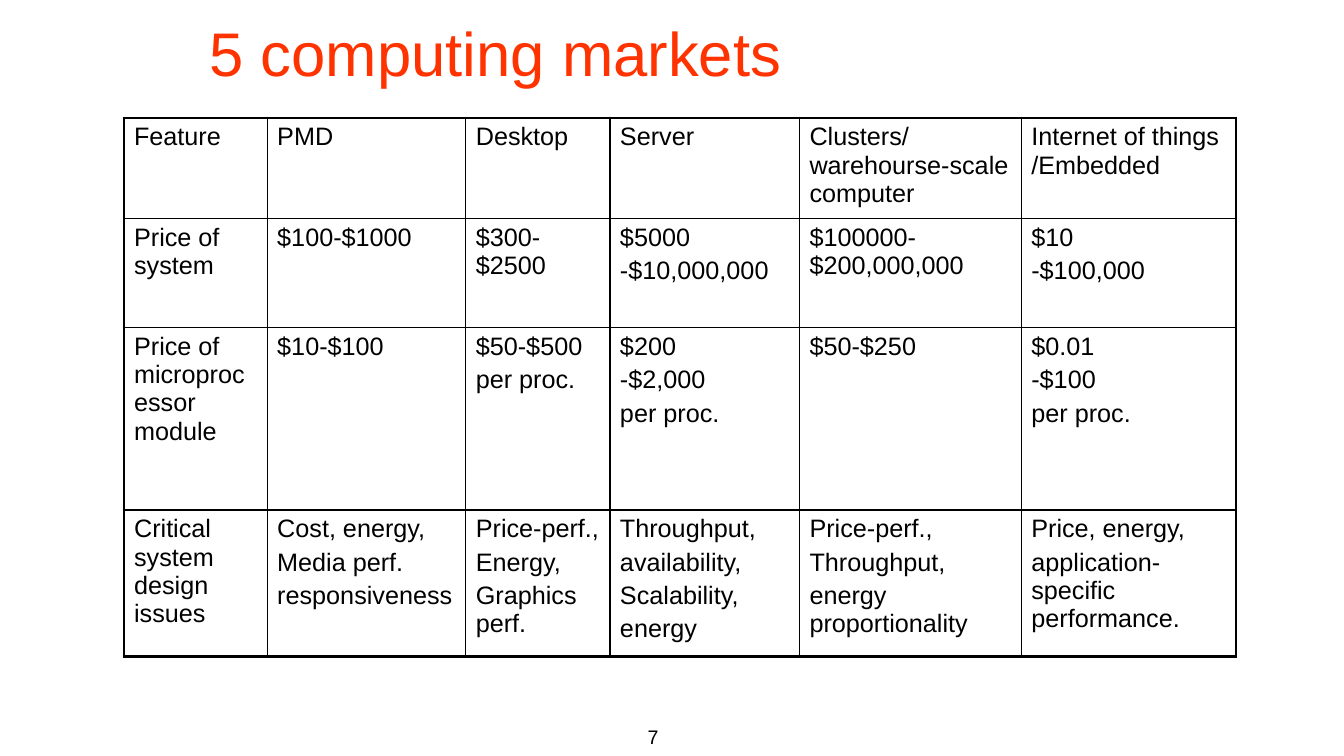
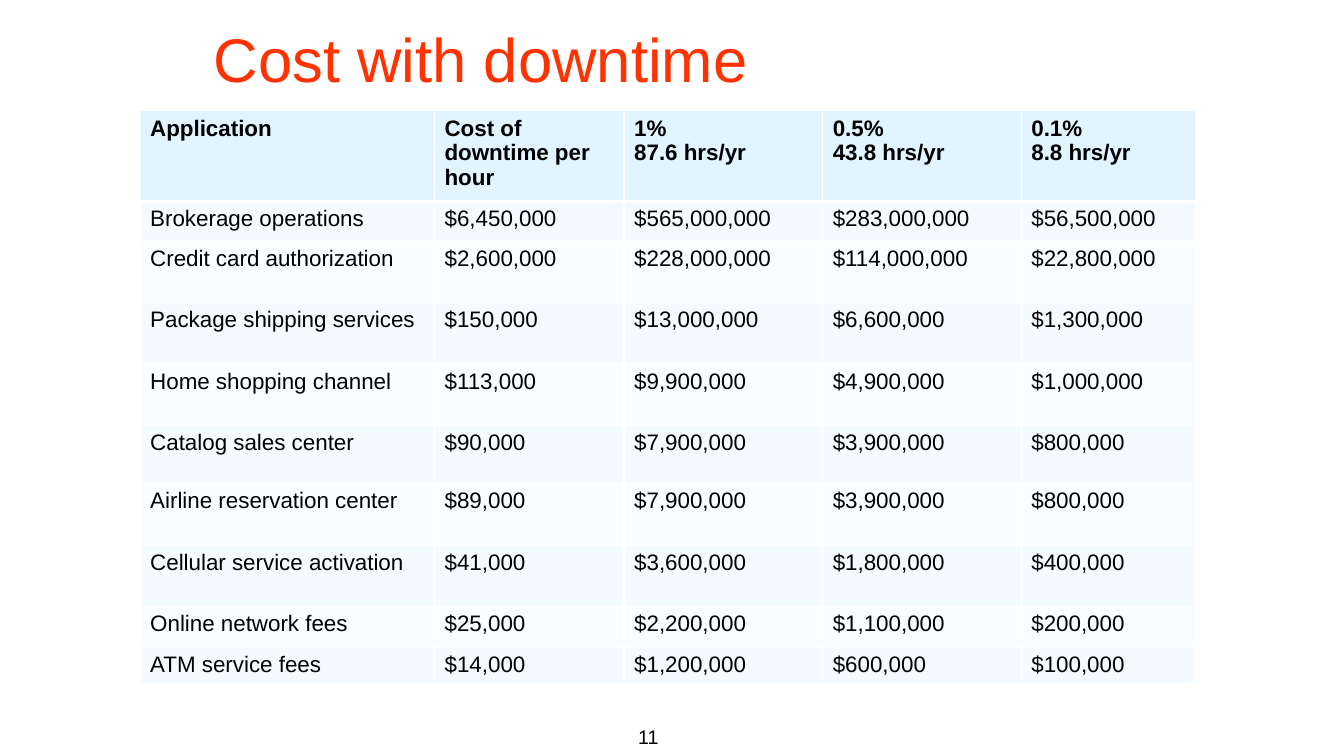
from dataclasses import dataclass

from lxml import etree
from pptx import Presentation
from pptx.dml.color import RGBColor
from pptx.enum.text import MSO_ANCHOR, PP_ALIGN
from pptx.oxml.ns import qn
from pptx.util import Inches, Pt

MIDDLE = MSO_ANCHOR.MIDDLE
TOP = MSO_ANCHOR.TOP
LEFT = PP_ALIGN.LEFT
RIGHT = PP_ALIGN.RIGHT

BLACK = RGBColor(0x00, 0x00, 0x00)
WHITE = RGBColor(0xFF, 0xFF, 0xFF)
TITLE_RED = RGBColor(0xFF, 0x33, 0x00)
HEADER_BLUE = RGBColor(0xE1, 0xF4, 0xFF)
BAND_DARK = RGBColor(0xF4, 0xFB, 0xFF)
BAND_LIGHT = RGBColor(0xF9, 0xFD, 0xFF)
FONT = "Arial"


@dataclass
class TableStyle:
    """Text size and gaps, rule widths in points, and row fills."""
    size: int
    line_color: RGBColor
    outer_rule: float = 1
    header_rule: float = 1
    paragraph_gap: float = 0
    bold_header: bool = False
    header_fill: RGBColor = None
    bands: tuple = (None,)

    def row_fill(self, row):
        return self.bands[(row - 1) % len(self.bands)] if row else self.header_fill


GRID_STYLE = TableStyle(18, BLACK, outer_rule=2.25, paragraph_gap=3.6)
BANDED_STYLE = TableStyle(16, WHITE, header_rule=3, bold_header=True,
                          header_fill=HEADER_BLUE, bands=(BAND_DARK, BAND_LIGHT))

MARKETS = [
    ["Feature", "PMD", "Desktop", "Server",
     "Clusters/ warehourse-scale computer", "Internet of things /Embedded"],
    ["Price of system", "$100-$1000", "$300-$2500", "$5000\n-$10,000,000",
     "$100000-$200,000,000", "$10\n-$100,000"],
    ["Price of microprocessor module", "$10-$100", "$50-$500\nper proc.",
     "$200\n-$2,000\nper proc.", "$50-$250", "$0.01\n-$100\nper proc."],
    ["Critical system design issues", "Cost, energy,\nMedia perf.\nresponsiveness",
     "Price-perf.,\nEnergy,\nGraphics perf.",
     "Throughput,\navailability,\nScalability,\nenergy",
     "Price-perf.,\nThroughput,\nenergy proportionality",
     "Price, energy,\napplication-specific performance."],
]

DOWNTIME = [
    ["Application", "Cost of downtime per hour", "1%\n87.6 hrs/yr",
     "0.5%\n43.8 hrs/yr", "0.1%\n8.8 hrs/yr"],
    ["Brokerage operations", "$6,450,000", "$565,000,000", "$283,000,000", "$56,500,000"],
    ["Credit card authorization", "$2,600,000", "$228,000,000", "$114,000,000", "$22,800,000"],
    ["Package shipping services", "$150,000", "$13,000,000", "$6,600,000", "$1,300,000"],
    ["Home shopping channel", "$113,000", "$9,900,000", "$4,900,000", "$1,000,000"],
    ["Catalog sales center", "$90,000", "$7,900,000", "$3,900,000", "$800,000"],
    ["Airline reservation center", "$89,000", "$7,900,000", "$3,900,000", "$800,000"],
    ["Cellular service activation", "$41,000", "$3,600,000", "$1,800,000", "$400,000"],
    ["Online network fees", "$25,000", "$2,200,000", "$1,100,000", "$200,000"],
    ["ATM service fees", "$14,000", "$1,200,000", "$600,000", "$100,000"],
]


def write_text(text_frame, text, size, color=BLACK, align=LEFT, bold=False, gap=0):
    """Write one paragraph per line, with a gap before all but the first."""
    text_frame.text = text
    text_frame.word_wrap = True
    for index, paragraph in enumerate(text_frame.paragraphs):
        paragraph.alignment = align
        if index and gap:
            paragraph.space_before = Pt(gap)
        for run in paragraph.runs:
            run.font.name = FONT
            run.font.size = Pt(size)
            run.font.bold = bold
            run.font.color.rgb = color


def add_text_box(slide, box, text, size, color, align=LEFT, anchor=TOP):
    shape = slide.shapes.add_textbox(*map(Inches, box))
    write_text(shape.text_frame, text, size, color, align)
    shape.text_frame.vertical_anchor = anchor
    return shape


def add_frame(slide, title, title_left, title_top, page_number):
    """Add the title and page number that every slide carries."""
    title_box = add_text_box(slide, (title_left, title_top, 9.43, 1.02),
                             title, 44, TITLE_RED, anchor=MIDDLE)
    title_box.fill.solid()
    title_box.fill.fore_color.rgb = WHITE
    add_text_box(slide, (3.85, 7.14, 2.78, 0.5), str(page_number), 14, BLACK, RIGHT)


def set_borders(cell, color, widths):
    """Draw the cell's left, right, top and bottom rules."""
    properties = cell._tc.get_or_add_tcPr()
    for side, width in zip("LRTB", widths):
        line = etree.SubElement(properties, qn(f"a:ln{side}"), w=str(Pt(width)))
        fill = etree.SubElement(line, qn("a:solidFill"))
        etree.SubElement(fill, qn("a:srgbClr"), val=str(color))


def add_styled_table(slide, left, top, column_widths, row_heights, rows, style):
    last_row, last_column = len(rows) - 1, len(column_widths) - 1
    table = slide.shapes.add_table(
        len(rows), len(column_widths), Inches(left), Inches(top),
        Inches(sum(column_widths)), Inches(sum(row_heights))).table
    for column, width in zip(table.columns, column_widths):
        column.width = Inches(width)
    for row, height in zip(table.rows, row_heights):
        row.height = Inches(height)

    row_rules = [style.outer_rule, style.header_rule] + [1] * (last_row - 1) + [style.outer_rule]
    column_rules = [style.outer_rule] + [1] * last_column + [style.outer_rule]
    for row_index, texts in enumerate(rows):
        row_fill = style.row_fill(row_index)
        for column_index, text in enumerate(texts):
            cell = table.cell(row_index, column_index)
            write_text(cell.text_frame, text, style.size, gap=style.paragraph_gap,
                       bold=style.bold_header and row_index == 0)
            set_borders(cell, style.line_color,
                        column_rules[column_index:column_index + 2]
                        + row_rules[row_index:row_index + 2])
            if row_fill is None:
                cell.fill.background()
            else:
                cell.fill.solid()
                cell.fill.fore_color.rgb = row_fill


def build_markets_slide(slide):
    add_frame(slide, "5 computing markets", 1.98, 0, 7)
    add_styled_table(slide, 1.23, 1.17, [1.42, 1.97, 1.43, 1.88, 2.2, 2.13],
                     [0.94, 1.08, 1.81, 1.44], MARKETS, GRID_STYLE)


def build_downtime_slide(slide):
    add_frame(slide, "Cost with downtime", 2.02, 0.06, 11)
    add_styled_table(slide, 1.39, 1.1, [2.92, 1.88, 1.97, 1.97, 1.73],
                     [0.87, 0.39, 0.61, 0.61, 0.61, 0.58, 0.61, 0.61, 0.4, 0.36],
                     DOWNTIME, BANDED_STYLE)


def main():
    presentation = Presentation()
    presentation.slide_width = Inches(13.33)
    presentation.slide_height = Inches(7.5)
    blank_layout = presentation.slide_layouts[6]
    for build_slide in (build_markets_slide, build_downtime_slide):
        build_slide(presentation.slides.add_slide(blank_layout))
    presentation.save("out.pptx")


if __name__ == "__main__":
    main()
